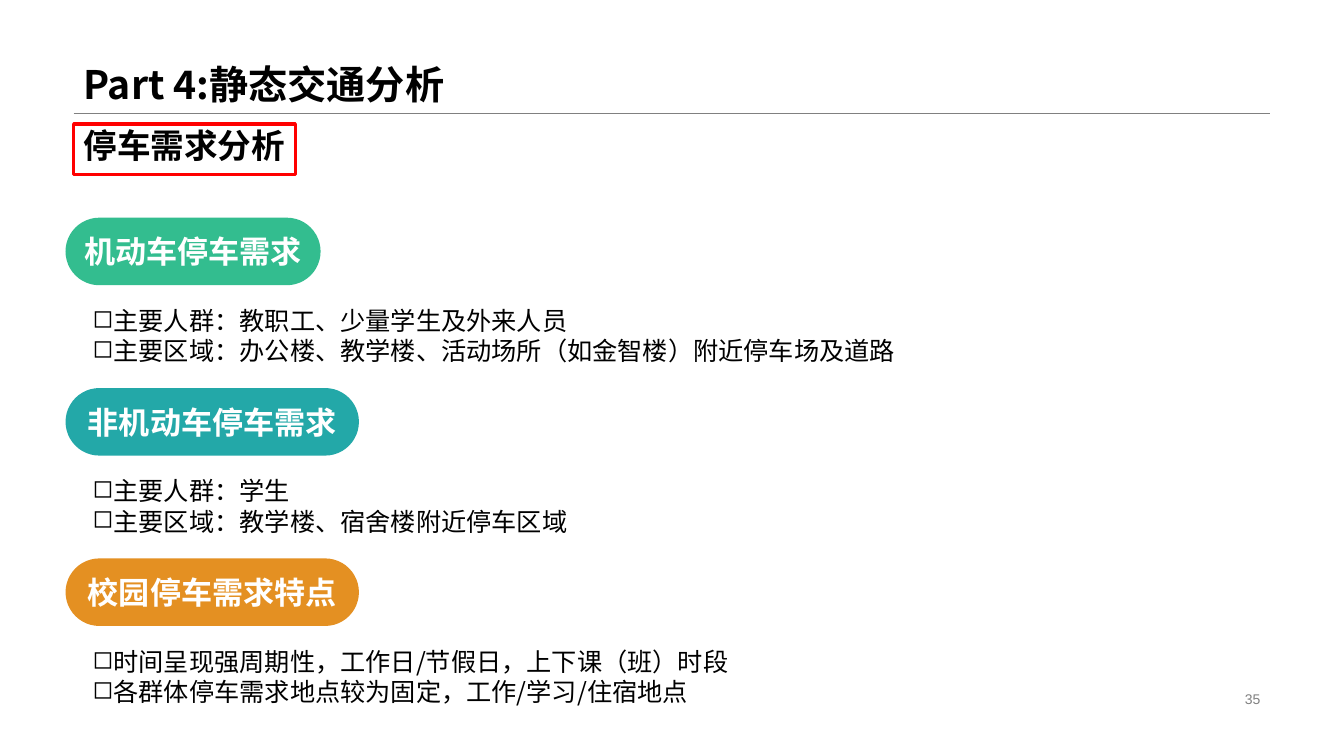
from dataclasses import dataclass

from lxml.etree import SubElement
from pptx import Presentation
from pptx.dml.color import RGBColor
from pptx.enum.shapes import MSO_CONNECTOR, MSO_SHAPE
from pptx.enum.text import MSO_ANCHOR, PP_ALIGN
from pptx.oxml.ns import qn
from pptx.util import Inches, Pt

CJK_FONT = "Noto Sans CJK SC"
FIRST_PILL_TOP = 2.16
SECTION_PITCH = 1.69
BULLETS_OFFSET = 0.82


@dataclass
class Section:
    heading: str
    color: str
    width: float
    points: list[str]


SECTIONS = [
    Section("机动车停车需求", "33BD8F", 2.53, [
        "主要人群：教职工、少量学生及外来人员",
        "主要区域：办公楼、教学楼、活动场所（如金智楼）附近停车场及道路",
    ]),
    Section("非机动车停车需求", "23A8A8", 2.91, [
        "主要人群：学生",
        "主要区域：教学楼、宿舍楼附近停车区域",
    ]),
    Section("校园停车需求特点", "E49022", 2.91, [
        "时间呈现强周期性，工作日/节假日，上下课（班）时段",
        "各群体停车需求地点较为固定，工作/学习/住宿地点",
    ]),
]


def rgb(color: str) -> RGBColor:
    return RGBColor.from_string(color)


def write(shape, text: str, size: float, color: str = "000000", bold: bool = False,
          font: str = CJK_FONT, align=PP_ALIGN.LEFT, anchor=MSO_ANCHOR.TOP,
          spacing: float = 1.0, wrap: bool = True) -> None:
    frame = shape.text_frame
    frame.text = text
    frame.word_wrap = wrap
    frame.vertical_anchor = anchor
    for para in frame.paragraphs:
        para.alignment = align
        para.line_spacing = spacing
        for span in para.runs:
            span.font.name = font
            span.font.size = Pt(size)
            span.font.bold = bold
            span.font.color.rgb = rgb(color)
            SubElement(span.font._element, qn("a:ea"), typeface=font)


def add_box(page, left: float, top: float, width: float, height: float):
    return page.shapes.add_textbox(Inches(left), Inches(top), Inches(width), Inches(height))


def add_plain_shape(page, kind, left: float, top: float, width: float, height: float):
    shape = page.shapes.add_shape(kind, Inches(left), Inches(top), Inches(width), Inches(height))
    shape.shadow.inherit = False
    return shape


def add_section(page, section: Section, top: float) -> None:
    # Heading pill
    pill = add_plain_shape(page, MSO_SHAPE.ROUNDED_RECTANGLE, 0.65, top, section.width, 0.67)
    pill.adjustments[0] = 0.5
    pill.fill.solid()
    pill.fill.fore_color.rgb = rgb(section.color)
    pill.line.fill.background()
    write(pill, section.heading, 22.2, "FFFFFF", bold=True,
          align=PP_ALIGN.CENTER, anchor=MSO_ANCHOR.MIDDLE, wrap=False)

    # Bulleted points
    box = add_box(page, 0.82, top + BULLETS_OFFSET, 8.38, 0.87)
    write(box, "\n".join(section.points), 18)
    for para in box.text_frame.paragraphs:
        properties = para._p.get_or_add_pPr()
        properties.set("marL", str(Inches(0.19)))
        properties.set("indent", str(Inches(-0.19)))
        SubElement(properties, qn("a:buChar"), char="◻")


def main() -> None:
    deck = Presentation()
    deck.slide_width, deck.slide_height = Inches(13.33), Inches(7.5)
    page = deck.slides.add_slide(deck.slide_layouts[6])

    # Title and rule
    title = add_box(page, 0.73, 0, 11.87, 1.12)
    write(title, "Part 4:静态交通分析", 28, bold=True, anchor=MSO_ANCHOR.BOTTOM, spacing=0.9)
    rule = page.shapes.add_connector(
        MSO_CONNECTOR.STRAIGHT, Inches(0.73), Inches(1.12), Inches(12.6), Inches(1.12))
    rule.line.color.rgb = rgb("808080")
    rule.line.width = Pt(0.25)
    SubElement(rule._element.spPr, qn("a:effectLst"))

    # Framed subtitle
    subtitle = add_plain_shape(page, MSO_SHAPE.RECTANGLE, 0.73, 1.23, 2.2, 0.5)
    subtitle.fill.background()
    subtitle.line.color.rgb = rgb("FF0000")
    subtitle.line.width = Pt(2.25)
    write(subtitle, "停车需求分析", 24, bold=True)
    subtitle.text_frame.margin_top = subtitle.text_frame.margin_bottom = Inches(0.01)

    # Parking demand sections
    for index, section in enumerate(SECTIONS):
        add_section(page, section, FIRST_PILL_TOP + index * SECTION_PITCH)

    # Page number
    number = add_box(page, 9.42, 6.82, 3.18, 0.23)
    write(number, "35", 10, "808080", font="Arial",
          align=PP_ALIGN.RIGHT, anchor=MSO_ANCHOR.MIDDLE)

    deck.save("out.pptx")


if __name__ == "__main__":
    main()
